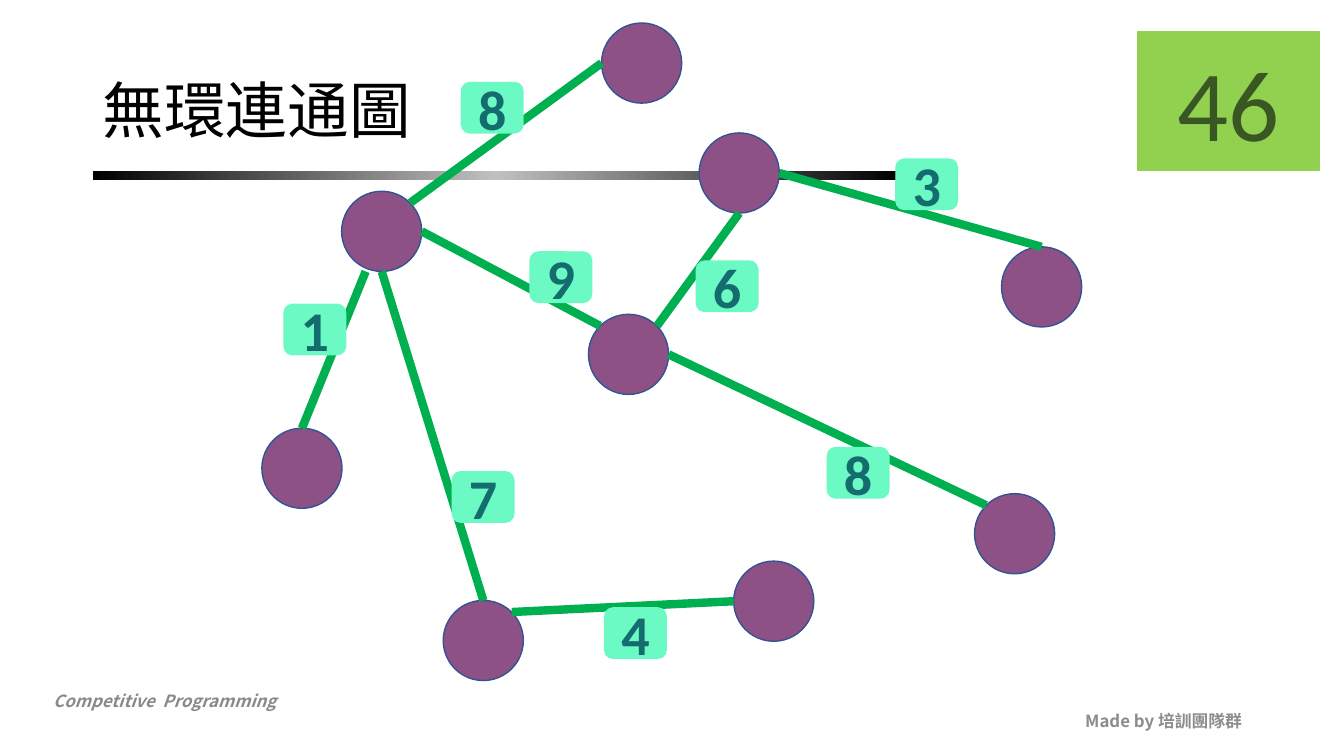
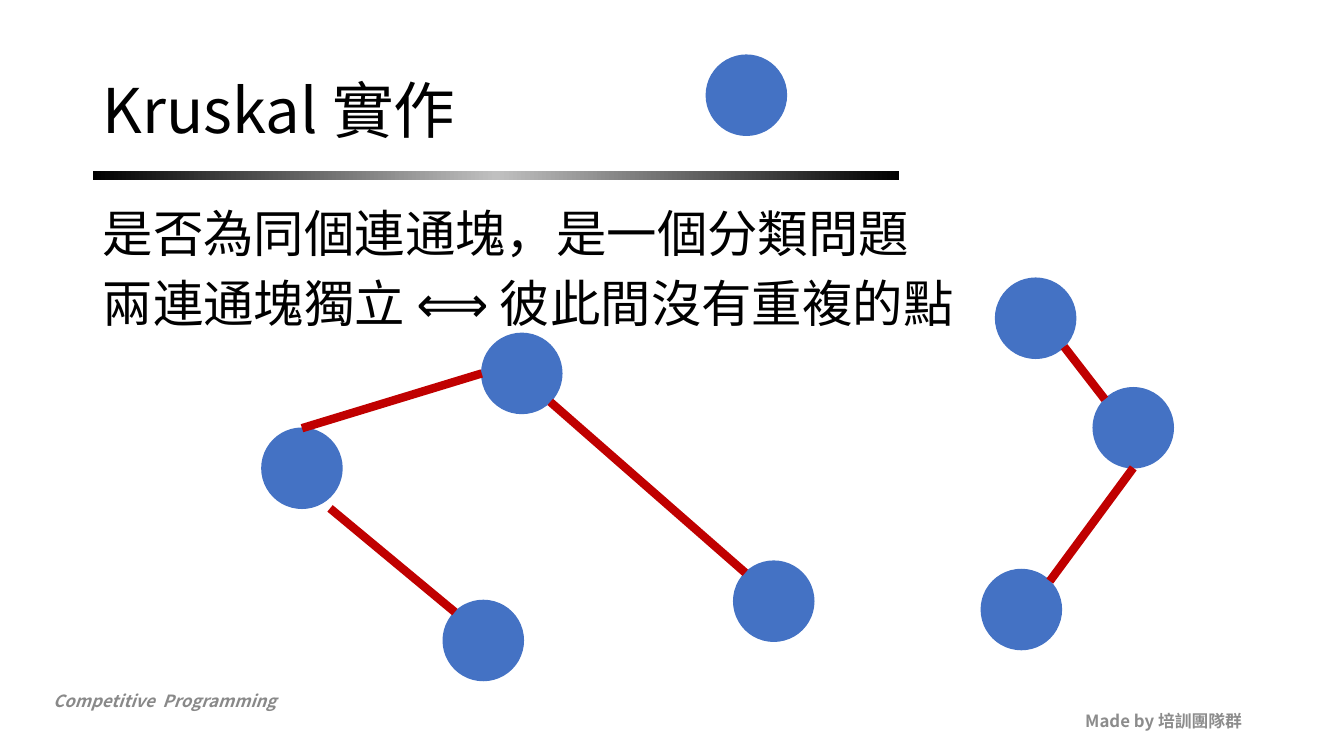
"""Build two slides on spanning trees: a weighted tree and the Kruskal components."""
import copy

import lxml.etree
import pptx
import pptx.dml.color
import pptx.enum.shapes
import pptx.enum.text
import pptx.oxml.ns
import pptx.util

Cm = pptx.util.Cm
Pt = pptx.util.Pt
SHAPE = pptx.enum.shapes.MSO_SHAPE
ALIGN = pptx.enum.text.PP_ALIGN
ANCHOR = pptx.enum.text.MSO_ANCHOR
qn = pptx.oxml.ns.qn

CJK_FONT = "Noto Sans CJK SC"
LATIN_FONT = "Calibri"
BLACK, SILVER = "000000", "C0C0C0"
PURPLE, NAVY, GREEN = "8D5186", "325491", "00B050"
BLUE, RED = "4472C4", "C00000"
MINT, TEAL = "6CFAC4", "146C6E"
LIME, MOSS = "92D050", "385723"

LEFT, WIDTH = 2.34, 29.21
RADIUS = 1.01
DIAGONAL = 0.71
ANCHORS = {
    "N": (0, -1), "S": (0, 1), "E": (1, 0), "W": (-1, 0),
    "NE": (DIAGONAL, -DIAGONAL), "NW": (-DIAGONAL, -DIAGONAL),
    "SE": (DIAGONAL, DIAGONAL),
    "below left": (-0.4, 1), "below right": (0.7, 1),
}

SHARED_NODES = {"west": (7.61, 11.8), "south": (12.18, 16.14), "middle": (19.5, 15.15)}
TREE_NODES = SHARED_NODES | {
    "hub": (9.62, 5.83), "top": (16.17, 1.59), "upper": (18.63, 4.36),
    "centre": (15.84, 8.93), "east": (26.25, 7.23), "southeast": (25.57, 13.45),
}
TREE_EDGES = [
    ("hub", "NE", "top", "W"),
    ("hub", "below left", "west", "N"),
    ("hub", "E", "centre", "NW"),
    ("hub", "S", "south", "N"),
    ("upper", "S", "centre", "NE"),
    ("middle", "W", "south", "NE"),
    ("upper", "E", "east", "N"),
    ("centre", "E", "southeast", "NW"),
]
TREE_WEIGHTS = [
    ("8", 11.63, 2.08), ("1", 7.16, 7.67), ("7", 11.4, 11.89), ("9", 13.36, 6.35),
    ("6", 17.55, 6.58), ("8", 20.85, 11.28), ("3", 22.58, 4.01), ("4", 15.24, 15.32),
]
FOREST_NODES = SHARED_NODES | {
    "peak": (13.15, 9.41), "right top": (26.1, 8.02), "right middle": (28.56, 10.78),
    "right bottom": (25.74, 15.36), "alone": (18.81, 2.4),
}
FOREST_EDGES = [
    ("right middle", "NW", "right top", "SE"),
    ("peak", "W", "west", "N"),
    ("right middle", "S", "right bottom", "NE"),
    ("middle", "NW", "peak", "SE"),
    ("south", "NW", "west", "below right"),
]


def colour(value):
    return pptx.dml.color.RGBColor.from_string(value)


def place(left, top, width, height):
    return Cm(left), Cm(top), Cm(width), Cm(height)


def write(shape, lines, size, ink, font=CJK_FONT, align=ALIGN.LEFT, anchor=ANCHOR.MIDDLE,
          bold=False, italic=False, spacing=None, gap=0):
    frame = shape.text_frame
    frame.word_wrap = True
    frame.vertical_anchor = anchor
    for index, line in enumerate(lines):
        para = frame.add_paragraph() if index else frame.paragraphs[0]
        para.text = line
        para.alignment = align
        if spacing:
            para.line_spacing = spacing
        if index and gap:
            para.space_before = Pt(gap)
        para.font.name = font
        para.font.size = Pt(size)
        para.font.bold = bold
        para.font.italic = italic
        para.font.color.rgb = colour(ink)
        style = para._p.find(".//" + qn("a:defRPr"))
        lxml.etree.SubElement(style, qn("a:ea"), typeface=font)


def add_text(page, area, lines, size, ink, **style):
    box = page.shapes.add_textbox(*place(*area))
    write(box, lines, size, ink, **style)


def add_block(page, kind, area, fill, line):
    shape = page.shapes.add_shape(kind, *place(*area))
    shape.shadow.inherit = False
    shape.fill.solid()
    shape.fill.fore_color.rgb = colour(fill)
    shape.line.color.rgb = colour(line)
    shape.line.width = Pt(1)
    return shape


def add_band(page):
    band = page.shapes.add_shape(SHAPE.RECTANGLE, *place(LEFT, 4.32, 20.32, 0.23))
    band.shadow.inherit = False
    band.line.fill.background()
    band.fill.gradient()
    band.fill.gradient_angle = 0
    stops = band._element.spPr.find(".//" + qn("a:gsLst"))
    stops.append(copy.deepcopy(stops[0]))
    settings = [(0, BLACK), (0.5, SILVER), (1, BLACK)]
    for stop, (position, value) in zip(band.fill.gradient_stops, settings):
        stop.position = position
        stop.color.rgb = colour(value)


def add_page(deck, title):
    page = deck.slides.add_slide(deck.slide_layouts[6])
    add_text(page, (1.09, 17.27, 10.8, 0.76), ["Competitive  Programming"], 12, "898989",
             anchor=ANCHOR.TOP, bold=True, italic=True)
    add_text(page, (23.93, 17.65, 7.62, 1.02), ["Made by 培訓團隊群"], 12, "8C8C8C",
             align=ALIGN.RIGHT, bold=True)
    add_band(page)
    add_text(page, (LEFT, 1.02, WIDTH, 3.68), [title], 44, BLACK, spacing=0.9)
    return page


def rim_point(centre, anchor):
    return [Cm(middle + RADIUS * step) for middle, step in zip(centre, ANCHORS[anchor])]


def add_edge(page, start, end, ink):
    edge = page.shapes.add_connector(pptx.enum.shapes.MSO_CONNECTOR.STRAIGHT, *start, *end)
    edge.line.color.rgb = colour(ink)
    edge.line.width = Pt(6)
    lxml.etree.SubElement(edge._element.spPr, qn("a:effectLst"))


def add_graph(page, nodes, edges, fill, outline, edge_ink):
    for x, y in nodes.values():
        area = (x - RADIUS, y - RADIUS, 2 * RADIUS, 2 * RADIUS)
        add_block(page, SHAPE.OVAL, area, fill, outline)
    for first, first_anchor, second, second_anchor in edges:
        add_edge(page, rim_point(nodes[first], first_anchor),
                 rim_point(nodes[second], second_anchor), edge_ink)


def add_label(page, kind, area, text, size, fill, ink, bold=False):
    label = add_block(page, kind, area, fill, fill)
    write(label, [text], size, ink, font=LATIN_FONT, align=ALIGN.CENTER, bold=bold)


def main():
    deck = pptx.Presentation()
    deck.slide_width, deck.slide_height = Cm(33.87), Cm(19.05)

    tree = add_page(deck, "無環連通圖")
    add_graph(tree, TREE_NODES, TREE_EDGES, PURPLE, NAVY, GREEN)
    for weight, left, top in TREE_WEIGHTS:
        add_label(tree, SHAPE.ROUNDED_RECTANGLE, (left, top, 1.55, 1.27), weight, 40,
                  MINT, TEAL, bold=True)
    add_label(tree, SHAPE.RECTANGLE, (28.68, 0.79, 4.57, 3.51), "46", 72, LIME, MOSS)

    forest = add_page(deck, "Kruskal 實作")
    add_text(forest, (LEFT, 5.08, WIDTH, 12.09),
             ["是否為同個連通塊，是一個分類問題", "兩連通塊獨立 ⟺ 彼此間沒有重複的點"],
             36, BLACK, anchor=ANCHOR.TOP, spacing=Pt(40), gap=10)
    add_graph(forest, FOREST_NODES, FOREST_EDGES, BLUE, BLUE, RED)

    deck.save("out.pptx")


if __name__ == "__main__":
    main()
